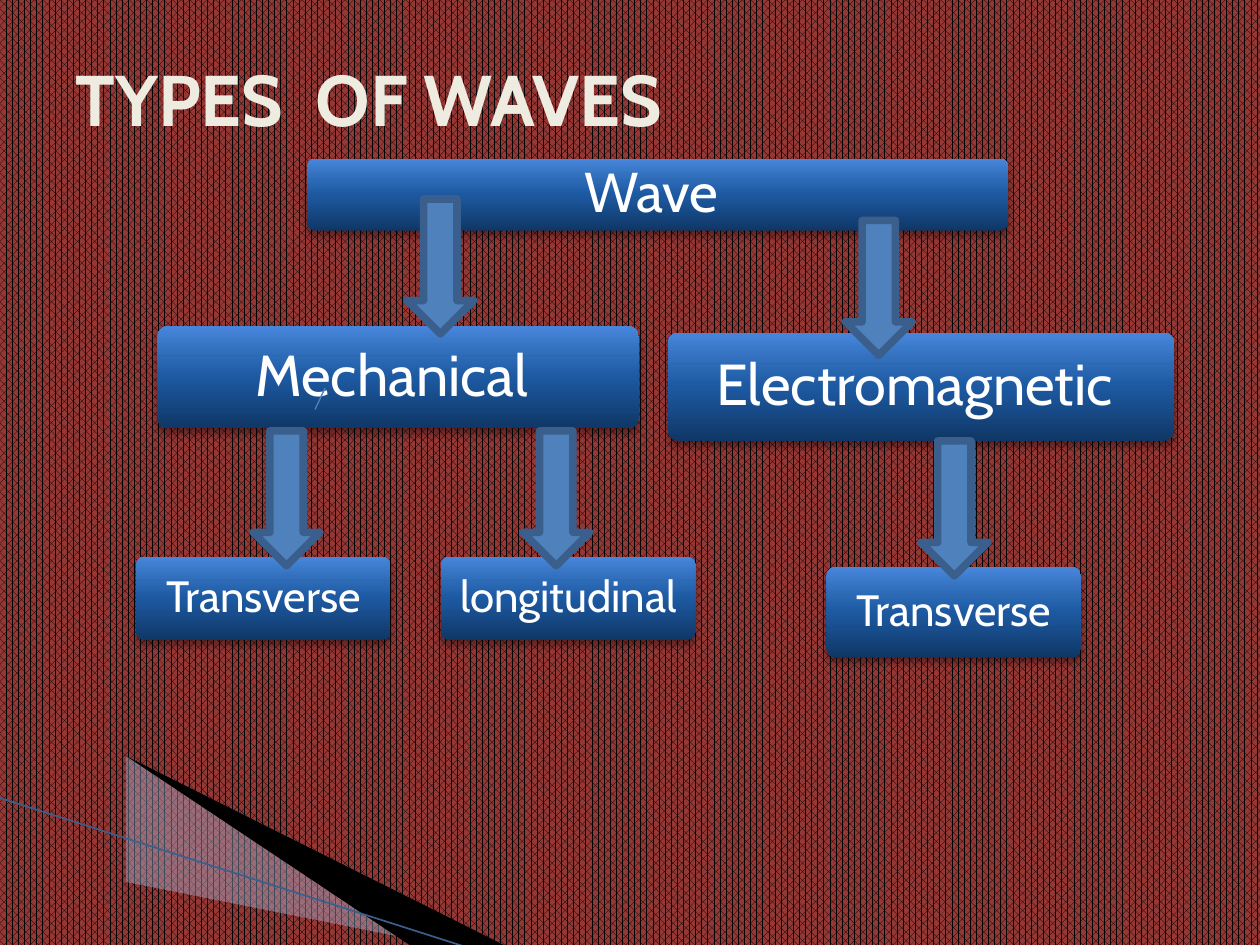
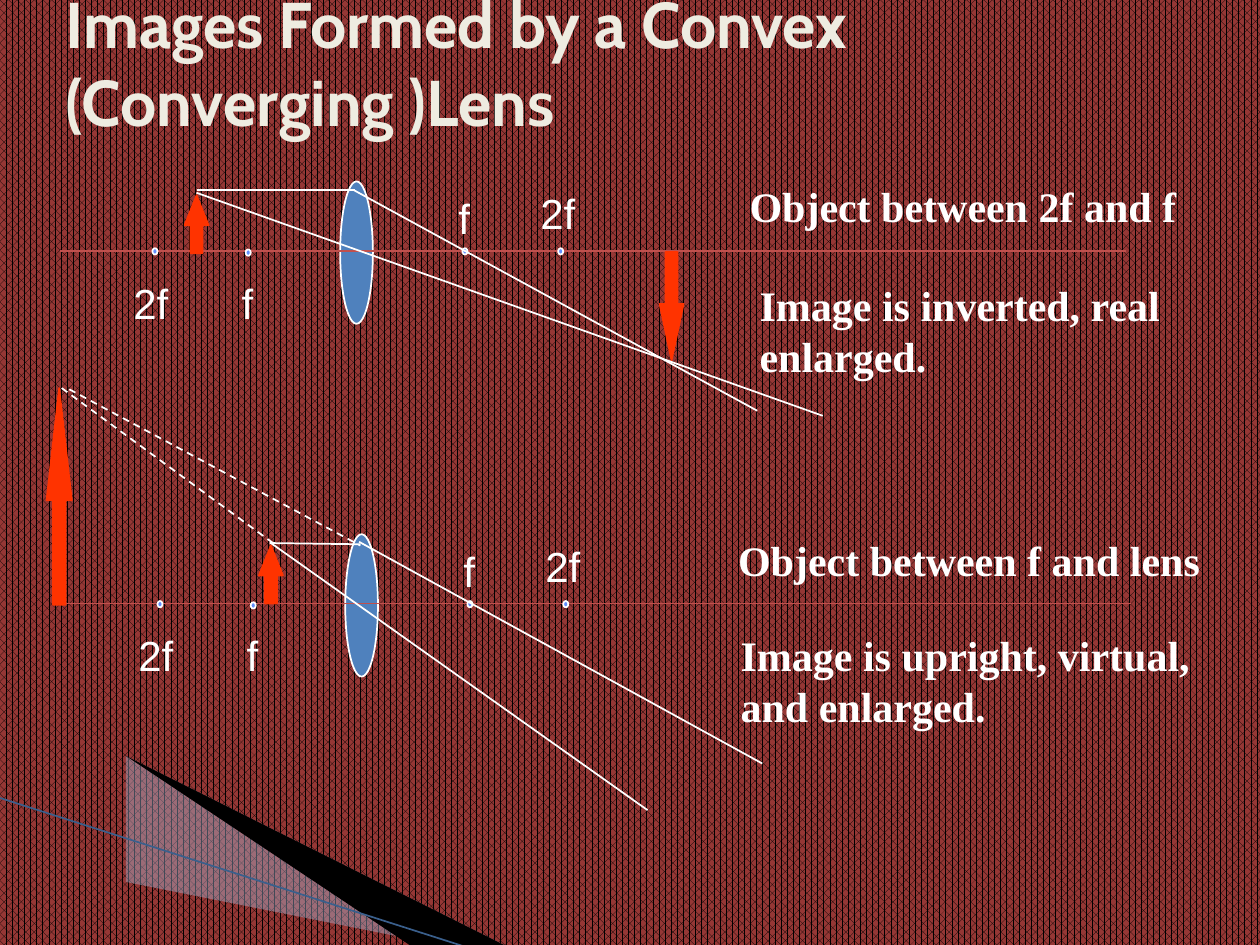
from lxml import etree
from pptx import Presentation
from pptx.dml.color import RGBColor
from pptx.enum import dml, shapes, text
from pptx.oxml import parse_xml
from pptx.oxml.ns import nsdecls, qn
from pptx.util import Inches, Pt

WHITE, CREAM, BLACK = "FFFFFF", "EEECE1", "000000"
BLUE, DARK_BLUE, DOT_BLUE = "4F81BD", "3A5F8C", "618FFD"
RED, AXIS_RED, BACK_RED = "FF3300", "C0504D", "953735"
BOX_STOPS = [(0, "0F3766"), (50, "1D59A1"), (70, "2D6AB6"), (100, "4786DB")]
SHAPE = shapes.MSO_SHAPE


def color(hex_code):
    return RGBColor.from_string(hex_code)


def write(shape, words, size=24, font="Arial", hue=WHITE, bold=False,
          align=text.PP_ALIGN.LEFT, anchor=text.MSO_ANCHOR.TOP,
          spacing=None, wrap=True, fit=text.MSO_AUTO_SIZE.NONE):
    """Fill a shape with text, one paragraph for each line of words."""
    frame = shape.text_frame
    frame.text = words
    frame.word_wrap, frame.vertical_anchor, frame.auto_size = wrap, anchor, fit
    for paragraph in frame.paragraphs:
        paragraph.alignment = align
        if spacing:
            paragraph.line_spacing = spacing
        for run in paragraph.runs:
            run.font.size, run.font.name, run.font.bold = Pt(size), font, bold
            run.font.color.rgb = color(hue)


def add_title(slide, words, left, top, width, height, size):
    title = slide.shapes.title
    title.left, title.top = Inches(left), Inches(top)
    title.width, title.height = Inches(width), Inches(height)
    write(title, words, size=size, font="Cabin", hue=CREAM, bold=True,
          anchor=text.MSO_ANCHOR.MIDDLE)


def add_label(slide, words, left, top, width, height=0.47, **style):
    label = slide.shapes.add_textbox(*map(Inches, (left, top, width, height)))
    write(label, words, **style)


def paint(shape, fill, line=None, weight=1):
    shape.shadow.inherit = False
    shape.fill.solid()
    shape.fill.fore_color.rgb = color(fill)
    if line:
        shape.line.color.rgb = color(line)
        shape.line.width = Pt(weight)
    else:
        shape.line.fill.background()


def add_figure(slide, kind, left, top, width, height, fill, line, weight=1):
    figure = slide.shapes.add_shape(
        kind, *map(Inches, (left, top, width, height)))
    paint(figure, fill, line, weight)
    return figure


def add_line(slide, start, end, hue=WHITE, weight=1, dashed=False):
    line = slide.shapes.add_connector(
        shapes.MSO_CONNECTOR.STRAIGHT, *map(Inches, (*start, *end)))
    line.line.color.rgb = color(hue)
    line.line.width = Pt(weight)
    if dashed:
        line.line.dash_style = dml.MSO_LINE.DASH
    etree.SubElement(line._element.spPr, qn("a:effectLst"))
    return line


# Shared background and corner wedge
def add_wedge(slide, points, fill, opacity=100):
    builder = slide.shapes.build_freeform(*points[0], scale=Inches(1))
    builder.add_line_segments(points[1:])
    wedge = builder.convert_to_shape()
    paint(wedge, fill)
    if opacity < 100:
        srgb = wedge._element.spPr.find(".//" + qn("a:srgbClr"))
        etree.SubElement(srgb, qn("a:alpha"), val=str(opacity * 1000))
    return wedge


def decorate(prs, layout, slide):
    """Set the pattern and move the corner wedge into the layout."""
    back = prs.slide_master.background.fill
    back.patterned()
    back.pattern = dml.MSO_PATTERN.PERCENT_70
    back.fore_color.rgb = color(BLACK)
    back.back_color.rgb = color(BACK_RED)
    corner = [
        add_wedge(slide, [(0.55, 6.51), (5.95, 7.51), (4.56, 7.51),
                          (0.55, 6.5)], "A7B9DB", opacity=40),
        add_wedge(slide, [(0.53, 6.49), (4.57, 7.51), (3.72, 7.52),
                          (0.54, 6.5)], BLACK),
        add_line(slide, (-0.01, 6.33), (3.71, 7.52), DARK_BLUE, 0.95),
    ]
    for part in corner:
        layout.shapes._spTree.append(part._element)


# Wave tree
def add_wave_box(slide, words, left, top, width, height, size):
    box = add_figure(slide, SHAPE.ROUNDED_RECTANGLE, left, top, width, height,
                     BLUE, None)
    box.adjustments[0] = 0.1
    props = box._element.spPr
    stops = "".join(f'<a:gs pos="{pos * 1000}"><a:srgbClr val="{hue}"/></a:gs>'
                    for pos, hue in BOX_STOPS)
    props.replace(props.find(qn("a:solidFill")), parse_xml(
        f'<a:gradFill {nsdecls("a")}><a:gsLst>{stops}</a:gsLst>'
        '<a:lin ang="16200000" scaled="0"/></a:gradFill>'))
    props.replace(props.find(qn("a:effectLst")), parse_xml(
        f'<a:effectLst {nsdecls("a")}><a:outerShdw blurRad="{Pt(4)}" '
        f'dist="{Pt(3)}" dir="5400000" rotWithShape="0"><a:srgbClr '
        f'val="{BLACK}"><a:alpha val="35000"/></a:srgbClr></a:outerShdw>'
        '</a:effectLst>'))
    write(box, words, size=size, font="Cabin", align=text.PP_ALIGN.CENTER,
          anchor=text.MSO_ANCHOR.MIDDLE, spacing=0.9)


def build_wave_types(slide):
    add_title(slide, "TYPES  OF WAVES", 0.5, 0.3, 7.58, 0.95, 41)
    for box in [("Wave ", 2.44, 1.26, 5.56, 0.57, 32),
                ("Mechanical ", 1.25, 2.59, 3.82, 0.81, 33),
                ("Transverse", 1.08, 4.42, 2.02, 0.66, 25),
                ("longitudinal", 3.5, 4.42, 2.02, 0.66, 25),
                ("Electromagnetic ", 5.3, 2.64, 4.02, 0.86, 33),
                ("Transverse", 6.56, 4.5, 2.02, 0.72, 25)]:
        add_wave_box(slide, *box)
    add_line(slide, (2.58, 3.08), (2.5, 3.25), BLUE, 0.75)
    for left, top in [(4.15, 3.42), (2.01, 3.42), (7.31, 3.5),
                      (3.23, 1.58), (6.71, 1.75)]:
        add_figure(slide, SHAPE.DOWN_ARROW, left, top, 0.53, 1.07,
                   BLUE, DARK_BLUE, 4.33)


# Lens ray diagrams
def add_lens_axis(slide, dx, dy):
    """Lens, principal axis and focal points, moved by dx and dy."""
    add_figure(slide, SHAPE.OVAL, 2.7 + dx, 1.44 + dy, 0.26, 1.13, BLUE, WHITE)
    add_line(slide, (0.48 + dx, 1.99 + dy), (8.94 + dx, 1.99 + dy), AXIS_RED)
    for left, top in [(3.67, 1.97), (4.43, 1.97), (1.95, 1.98), (1.21, 1.97)]:
        add_figure(slide, SHAPE.OVAL, left + dx, top + dy, 0.04, 0.05,
                   DOT_BLUE, WHITE)
    for words, left, top, width in [
            ("2f", 0.96, 2.15, 0.58), ("2f", 4.19, 1.44, 0.58),
            ("f", 1.82, 2.15, 0.45), ("f", 3.54, 1.48, 0.45)]:
        add_label(slide, words, left + dx, top + dy, width)


def add_object_arrow(slide, center, top, height, head, kind=SHAPE.UP_ARROW,
                     width=0.19):
    arrow = add_figure(slide, kind, center - width / 2, top, width, height,
                       RED, RED)
    arrow.adjustments[0], arrow.adjustments[1] = 0.5, head


def add_caption(slide, words, left, top, width, height=0.47):
    add_label(slide, words, left, top, width, height, bold=True, wrap=False,
              font="Times New Roman", fit=text.MSO_AUTO_SIZE.SHAPE_TO_FIT_TEXT)


def build_convex_lens(slide):
    add_title(slide, "Images Formed by a Convex (Converging )Lens",
              0.42, 0.28, 9, 0.42, 36.9)

    # Object between 2f and f
    add_lens_axis(slide, 0, 0)
    add_object_arrow(slide, 1.56, 1.55, 0.46, 1.25)
    add_object_arrow(slide, 5.33, 2, 0.86, 2.35, SHAPE.DOWN_ARROW)
    for start, end in [((1.56, 1.51), (2.82, 1.51)),
                       ((2.81, 1.51), (6.01, 3.26)),
                       ((1.56, 1.53), (6.53, 3.3))]:
        add_line(slide, start, end)
    add_caption(slide, "Object between 2f and f", 5.85, 1.38, 3.59)
    add_caption(slide, "Image is inverted, real\nenlarged.",
                5.93, 2.17, 3.38, 0.85)

    # Object between f and lens
    add_lens_axis(slide, 0.04, 2.8)
    add_object_arrow(slide, 2.15, 4.33, 0.46, 1.25)
    add_object_arrow(slide, 0.47, 3.08, 1.72, 4.45, width=0.2)
    for start, end, dashed in [((2.14, 4.31), (2.86, 4.32), False),
                               ((2.85, 4.3), (6.05, 6.06), False),
                               ((2.15, 4.31), (5.14, 6.43), False),
                               ((0.49, 3.08), (2.18, 4.32), True),
                               ((0.55, 3.09), (2.86, 4.33), True)]:
        add_line(slide, start, end, dashed=dashed)
    add_caption(slide, "Object between f and lens", 5.76, 4.19, 3.87)
    add_caption(slide, "Image is upright, virtual,\nand enlarged.",
                5.78, 4.95, 3.77, 0.85)


def main():
    prs = Presentation()
    prs.slide_width, prs.slide_height = Inches(10), Inches(7.5)
    title_only = prs.slide_layouts[5]
    wave_types = prs.slides.add_slide(title_only)
    convex_lens = prs.slides.add_slide(title_only)
    decorate(prs, title_only, wave_types)
    build_wave_types(wave_types)
    build_convex_lens(convex_lens)
    prs.save("out.pptx")


if __name__ == "__main__":
    main()
